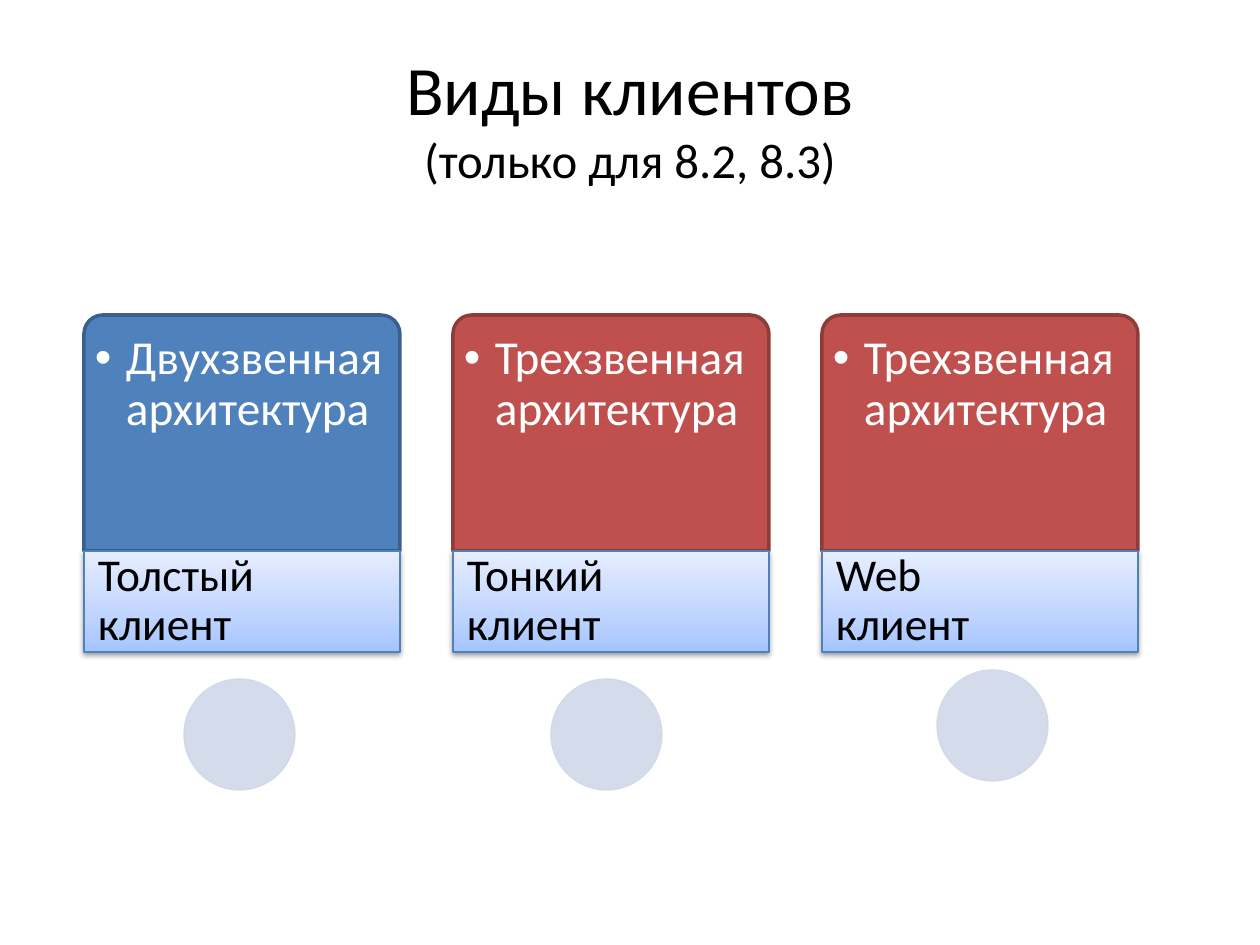
from lxml import etree
from pptx import Presentation
from pptx.dml.color import RGBColor
from pptx.enum.shapes import MSO_SHAPE
from pptx.enum.text import MSO_ANCHOR, PP_ALIGN
from pptx.oxml import parse_xml
from pptx.oxml.ns import qn
from pptx.util import Pt

PIXEL = 914400 / 126
NS = 'xmlns:a="http://schemas.openxmlformats.org/drawingml/2006/main"'
CARD_TOP, CARD_LEFT, CARD_PITCH = 315, 84, 369
CARDS = [
    ("Двухзвенная архитектура", "Толстый клиент", "4F81BD", "3A5F8C", 100, 364),
    ("Трехзвенная архитектура", "Тонкий клиент", "C0504D", "8E3B39", 98, 364),
    ("Трехзвенная архитектура", "Web клиент", "C0504D", "8E3B39", 115, 355),
]


def px(value):
    """Turn pixels into EMU."""
    return round(value * PIXEL)


def rgb(value):
    """Turn a hex string into a colour."""
    return RGBColor.from_string(value)


def add_run(paragraph, text, size, color):
    """Append a formatted run."""
    run = paragraph.add_run()
    run.text = text
    run.font.name, run.font.size = "Calibri", Pt(size)
    run.font.color.rgb = rgb(color)


def add_box(slide, kind, box, fill, line, width):
    """Add a filled and outlined preset shape."""
    shape = slide.shapes.add_shape(kind, *map(px, box))
    shape.shadow.inherit = False
    shape.fill.solid()
    shape.fill.fore_color.rgb = rgb(fill)
    shape.line.color.rgb = rgb(line)
    shape.line.width = Pt(width)
    return shape


def add_text(slide, box, text, size, color, insets, anchor):
    """Add a wrapped text box and return its paragraph."""
    frame = slide.shapes.add_textbox(*map(px, box)).text_frame
    frame.word_wrap = True
    frame.vertical_anchor = anchor
    (frame.margin_left, frame.margin_top,
     frame.margin_right, frame.margin_bottom) = map(px, insets)
    paragraph = frame.paragraphs[0]
    paragraph.line_spacing = 0.9
    add_run(paragraph, text, size, color)
    return paragraph


def add_bullet(paragraph, indent):
    """Give a paragraph a hanging round bullet."""
    properties = paragraph._p.get_or_add_pPr()
    properties.set("marL", str(px(indent)))
    properties.set("indent", str(-px(indent)))
    properties.append(parse_xml(f'<a:buFont {NS} typeface="Arial"/>'))
    properties.append(parse_xml(f'<a:buChar {NS} char="•"/>'))


def shade_label(shape):
    """Apply the upward gradient and the soft shadow of a label."""
    stops = [(0, "A4C4FF"), (35, "BFD4FF"), (100, "E6EEFF")]
    stop_xml = "".join(
        f'<a:gs pos="{position * 1000}"><a:srgbClr val="{color}"/></a:gs>'
        for position, color in stops)
    properties = shape._element.spPr
    properties.replace(properties.find(qn("a:solidFill")), parse_xml(
        f'<a:gradFill {NS} rotWithShape="1"><a:gsLst>{stop_xml}</a:gsLst>'
        '<a:lin ang="16200000" scaled="0"/></a:gradFill>'))
    properties.replace(properties.find(qn("a:effectLst")), parse_xml(
        f'<a:effectLst {NS}><a:outerShdw blurRad="{Pt(3.1)}" dist="{Pt(1.6)}" '
        'dir="5400000" rotWithShape="0"><a:srgbClr val="000000">'
        '<a:alpha val="38000"/></a:srgbClr></a:outerShdw></a:effectLst>'))


def add_card(slide, left, top, architecture, client, fill, line, dot_x, dot_y):
    """Draw a client card: architecture panel, name label and dot."""
    panel = add_box(slide, MSO_SHAPE.ROUND_2_SAME_RECTANGLE,
                    (left, top, 316, 236), fill, line, 2)
    panel.adjustments[0], panel.adjustments[1] = 0.08, 0
    add_bullet(add_text(slide, (left + 6, top + 5, 305, 231), architecture, 27,
                        "FFFFFF", (5, 14, 5, 5), MSO_ANCHOR.TOP), 31)
    label_top = top + 236
    label = add_box(slide, MSO_SHAPE.RECTANGLE, (left, label_top, 316, 101),
                    "E6EEFF", "4F81BD", 0.75)
    shade_label(label)
    add_text(slide, (left, label_top, 222, 101), client, 26, "000000",
             (14, 0, 5, 0), MSO_ANCHOR.MIDDLE)
    dot = add_box(slide, MSO_SHAPE.OVAL, (left + dot_x, top + dot_y, 111, 111),
                  "D0D8E8", "D0D8E8", 0.75)
    for color in dot._element.spPr.iter(qn("a:srgbClr")):
        etree.SubElement(color, qn("a:alpha")).set("val", "90000")


def set_title(slide, box):
    """Place the title and its smaller second line."""
    title = slide.shapes.title
    title.left, title.top, title.width, title.height = map(px, box)
    title.text_frame.vertical_anchor = MSO_ANCHOR.MIDDLE
    paragraph = title.text_frame.paragraphs[0]
    paragraph.alignment = PP_ALIGN.CENTER
    add_run(paragraph, "Виды клиентов", 39.6, "000000")
    paragraph.add_line_break()
    add_run(paragraph, "(только для 8.2, 8.3)", 27.9, "000000")


def main():
    """Build and save the slide."""
    deck = Presentation()
    deck.slide_width, deck.slide_height = px(1260), px(945)
    slide = deck.slides.add_slide(deck.slide_layouts[5])
    set_title(slide, (63, 38, 1134, 158))
    for index, card in enumerate(CARDS):
        add_card(slide, CARD_LEFT + index * CARD_PITCH, CARD_TOP, *card)
    deck.save("out.pptx")


main()
